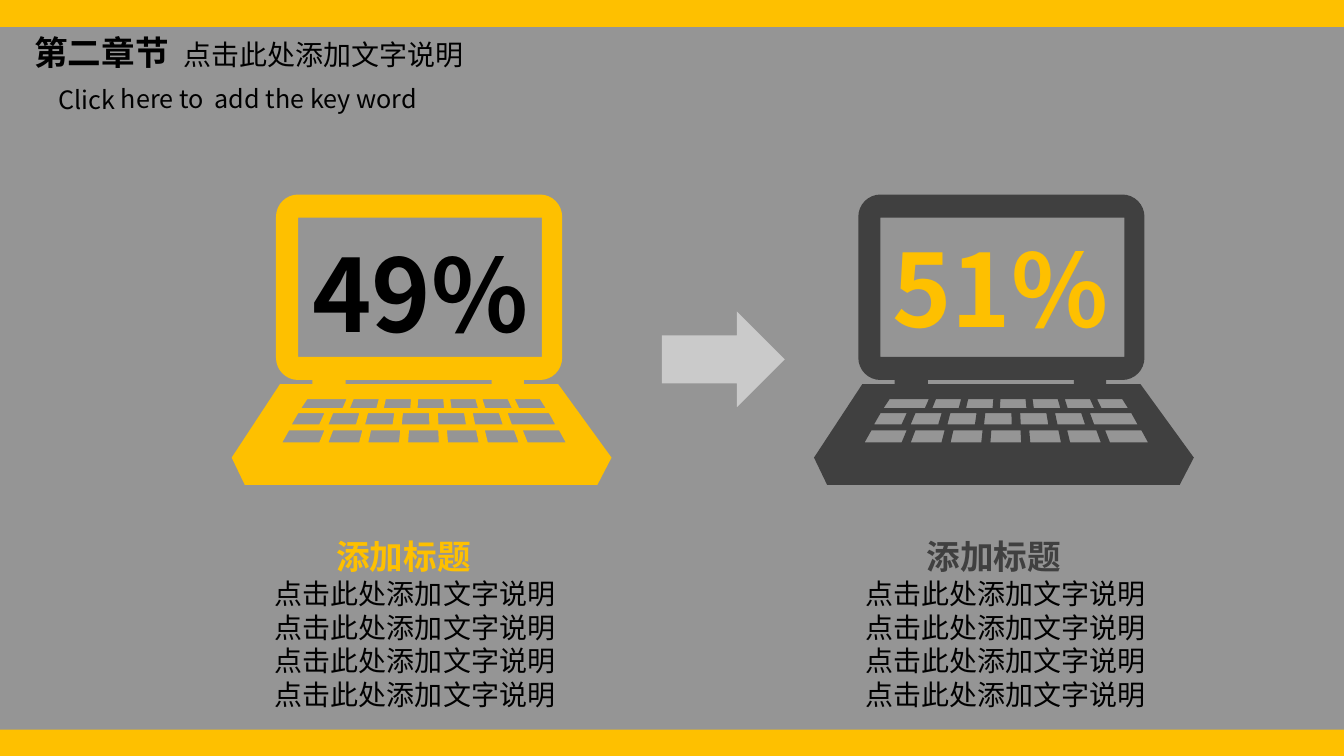
import math
from lxml import etree
from pptx import Presentation
from pptx.dml.color import RGBColor
from pptx.enum import shapes, text
from pptx.oxml.ns import qn
from pptx.util import Inches, Pt

COLORS = {"yellow": "FEC000", "gray": "959595", "dark": "404040",
          "black": "000000", "white": "FFFFFF"}
FONT = "Noto Sans CJK SC"


def paint(shape, color):
    shape.shadow.inherit = False
    shape.fill.solid()
    shape.fill.fore_color.rgb = RGBColor.from_string(COLORS[color])
    shape.line.fill.background()


def style(para, size, color, bold=False):
    """Set the paragraph font for Latin and East Asian text alike."""
    para.alignment = text.PP_ALIGN.LEFT
    font = para.font
    font.name, font.size, font.bold = FONT, Pt(size), bold
    font.color.rgb = RGBColor.from_string(COLORS[color])
    etree.SubElement(font._element, qn("a:ea"), typeface=FONT)


deck = Presentation()
deck.slide_width, deck.slide_height = Inches(13.34), Inches(7.5)
slide = deck.slides.add_slide(deck.slide_layouts[5])
slide.background.fill.solid()
slide.background.fill.fore_color.rgb = RGBColor.from_string(COLORS["yellow"])

# Title and gray panel behind it
title = slide.shapes.title
title.left, title.top, title.width, title.height = map(Inches, (0.24, 0.27, 4.51, 0.5))
title.text_frame.vertical_anchor = text.MSO_ANCHOR.TOP
title.text_frame.word_wrap = True
para = title.text_frame.paragraphs[0]
tabs = etree.SubElement(para._p.get_or_add_pPr(), qn("a:tabLst"))
etree.SubElement(tabs, qn("a:tab"), pos=str(Inches(1.48)), algn="l")
style(para, 24, "black")
chapter = para.add_run()
chapter.text, chapter.font.bold = "第二章节\t", True
caption = para.add_run()
caption.text, caption.font.size = "点击此处添加文字说明", Pt(20)

panel = slide.shapes.add_shape(shapes.MSO_SHAPE.RECTANGLE, 0, Inches(0.27),
                               Inches(13.34), Inches(6.97))
paint(panel, "gray")
title.element.addprevious(panel.element)

# Laptop outline, in inches from its top left corner
outline = [(0.48, 1.88), (0.8, 1.88), (0.8, 1.84)]
radius = 0.22
corners = [(0.66, 1.62, 90), (0.66, 0.22, 180), (3.06, 0.22, 270), (3.06, 1.62, 0)]
for center_x, center_y, start in corners:
    for step in range(9):
        angle = math.radians(start + step * 90 / 8)
        outline.append((center_x + radius * math.cos(angle),
                        center_y + radius * math.sin(angle)))
outline += [(2.9, 1.84), (2.9, 1.88), (3.24, 1.88), (3.77, 2.61),
            (3.63, 2.88), (0.13, 2.88), (0, 2.61)]
contours = [outline]
for left, top, right, bottom in [(1.13, 1.84, 2.58, 1.88), (0.66, 0.23, 3.08, 1.61)]:
    contours.append([(left, top), (left, bottom), (right, bottom), (right, top)])

# Keys: seven per row, widening away from the middle toward the bottom
MIDDLE, SPREAD = 1.93, 1.05
key_rows = [  # top, bottom, left, right, first, inner and last key width
    (2.03, 2.12, 0.75, 3.06, 0.39, 0.25, 0.25),
    (2.17, 2.28, 0.66, 3.15, 0.26, 0.26, 0.41),
    (2.34, 2.46, 0.57, 3.25, 0.35, 0.29, 0.36),
]
for top, bottom, left, right, first, inner, last in key_rows:
    widths = [first] + [inner] * 5 + [last]
    gap = (right - left - sum(widths)) / 6
    for width in widths:
        low_left, low_right = (MIDDLE + (x - MIDDLE) * SPREAD for x in (left, left + width))
        contours.append([(left, top), (low_left, bottom),
                         (low_right, bottom), (left + width, top)])
        left += width + gap

for laptop_left, color in [(2.3, "yellow"), (8.08, "dark")]:
    builder = None
    for contour in contours:
        points = [(Inches(laptop_left + x), Inches(1.93 + y)) for x, y in contour]
        if builder is None:
            builder = slide.shapes.build_freeform(*points[0])
        else:
            builder.move_to(*points[0])
        builder.add_line_segments(points[1:], close=True)
    paint(builder.convert_to_shape(), color)

arrow = slide.shapes.add_shape(shapes.MSO_SHAPE.RIGHT_ARROW, Inches(6.57), Inches(3.09),
                               Inches(1.22), Inches(0.95))
paint(arrow, "white")
white = arrow.element.spPr.find(qn("a:solidFill"))[0]
etree.SubElement(white, qn("a:alpha"), val="50000")

# Text boxes: place, rotation, then (words, size, color, bold, indent) per paragraph
body = [("点击此处添加文字说明", 20, "black", False, 0)] * 4
text_boxes = [
    ((2.63, 5.27, 3.1, 1.84), 0, [("添加标题", 24, "yellow", True, 0.61)] + body),
    ((8.49, 5.27, 3.1, 1.84), 0, [("添加标题", 24, "dark", True, 0.61)] + body),
    ((3, 2.25, 2.36, 1.3), 0, [("49%", 72, "black", True, 0)]),
    ((8.76, 2.2, 2.36, 1.3), 0, [("51%", 72, "yellow", True, 0)]),
    ((0.48, 0.78, 4.05, 0.4), -0.1,
     [("Click here to  add the key word", 18, "black", False, 0)]),
]
for place, rotation, lines in text_boxes:
    box = slide.shapes.add_textbox(*map(Inches, place))
    box.rotation = rotation
    frame = box.text_frame
    frame.word_wrap = True
    for index, (words, size, color, bold, indent) in enumerate(lines):
        para = frame.add_paragraph() if index else frame.paragraphs[0]
        para.text = words
        if indent:
            para._p.get_or_add_pPr().set("marL", str(Inches(indent)))
        style(para, size, color, bold)

deck.save("out.pptx")
